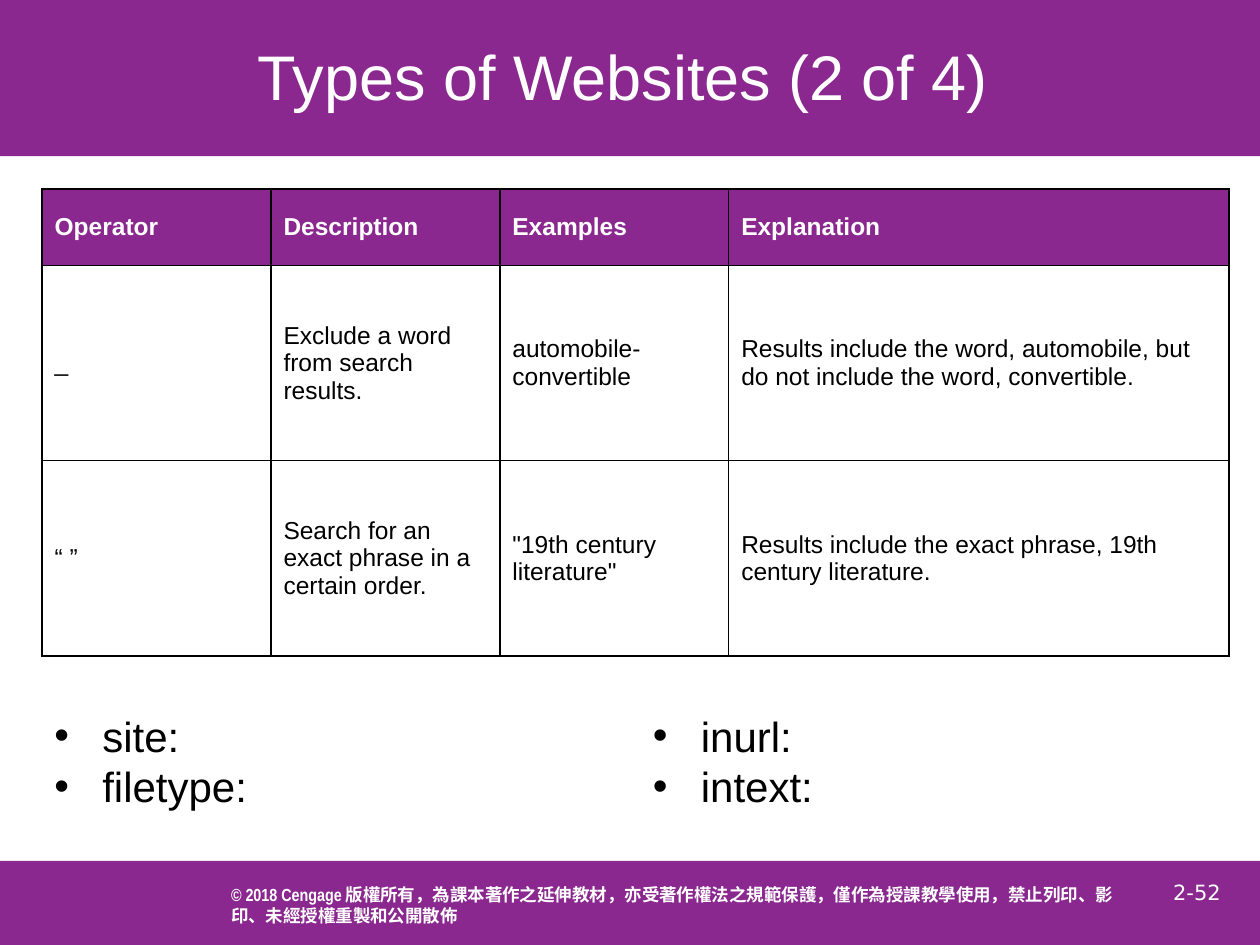
"""Build the slide on search operators for types of websites."""
import pptx
import pptx.dml.color
import pptx.enum.shapes
import pptx.enum.text
import pptx.oxml.ns
import pptx.util
from lxml import etree

Pt = pptx.util.Pt
RGBColor = pptx.dml.color.RGBColor
Align = pptx.enum.text.PP_ALIGN
Anchor = pptx.enum.text.MSO_ANCHOR
qn = pptx.oxml.ns.qn

PURPLE = RGBColor(0x8A, 0x28, 0x8F)
WHITE = RGBColor(0xFF, 0xFF, 0xFF)
BLACK = RGBColor(0, 0, 0)

TITLE = "Types of Websites (2 of 4)"
COPYRIGHT = [
    ("© 2018 Cengage ", "Arial Narrow"),
    ("版權所有，為課本著作之延伸教材，亦受著作權法之規範保護，僅作為授課教學使用，"
     "禁止列印、影印、未經授權重製和公開散佈", "Calibri"),
]
PAGE_NUMBER = "2-52"
OPERATORS = [
    ("Operator", "Description", "Examples", "Explanation"),
    ("_", "Exclude a word from search results.", "automobile-convertible",
     "Results include the word, automobile, but do not include the word, convertible."),
    ("“ ”", "Search for an exact phrase in a certain order.",
     "\"19th century literature\"",
     "Results include the exact phrase, 19th century literature."),
]
COLUMN_WIDTHS = (130.8, 130.8, 130.8, 286)
ROW_HEIGHTS = (43.8, 111.5, 111.5)
KEYWORD_LISTS = [
    ((24, 402, 125, 65.5), ("site:", "filetype:")),
    ((366, 402, 107, 65.5), ("inurl:", "intext:")),
]


def write(para, text, font="Arial", size=14, color=BLACK, bold=False, align=Align.LEFT):
    para.alignment = align
    span = para.add_run()
    span.text = text
    span.font.name = font
    span.font.size = Pt(size)
    span.font.color.rgb = color
    span.font.bold = bold


def add_band(page, left, top, width, height):
    band = page.shapes.add_shape(
        pptx.enum.shapes.MSO_SHAPE.RECTANGLE, Pt(left), Pt(top), Pt(width), Pt(height))
    band.shadow.inherit = False
    band.fill.solid()
    band.fill.fore_color.rgb = PURPLE
    band.line.fill.background()
    band.text_frame.vertical_anchor = Anchor.MIDDLE
    return band.text_frame


def add_text_box(page, left, top, width, height, wrap=True):
    box = page.shapes.add_textbox(Pt(left), Pt(top), Pt(width), Pt(height))
    box.text_frame.word_wrap = wrap
    return box.text_frame


def add_bullet(para, indent=27.4):
    properties = para._p.get_or_add_pPr()
    properties.set("marL", str(Pt(indent)))
    properties.set("indent", str(-Pt(indent)))
    etree.SubElement(properties, qn("a:buFont")).set("typeface", "Arial")
    etree.SubElement(properties, qn("a:buChar")).set("char", "•")


def add_borders(cell):
    properties = cell._tc.get_or_add_tcPr()
    for position, side in enumerate(("lnL", "lnR", "lnT", "lnB")):
        line = etree.Element(qn("a:" + side), w=str(Pt(1)))
        fill = etree.SubElement(line, qn("a:solidFill"))
        etree.SubElement(fill, qn("a:srgbClr")).set("val", str(BLACK))
        properties.insert(position, line)


def add_operator_table(page):
    table = page.shapes.add_table(
        len(OPERATORS), len(COLUMN_WIDTHS), Pt(24), Pt(108),
        Pt(sum(COLUMN_WIDTHS)), Pt(sum(ROW_HEIGHTS))).table
    table.horz_banding = False
    for column, width in zip(table.columns, COLUMN_WIDTHS):
        column.width = Pt(width)
    for index, (row, height) in enumerate(zip(table.rows, ROW_HEIGHTS)):
        row.height = Pt(height)
        header = index == 0
        for cell, text in zip(row.cells, OPERATORS[index]):
            cell.vertical_anchor = Anchor.MIDDLE
            if header:
                cell.fill.solid()
                cell.fill.fore_color.rgb = PURPLE
            else:
                cell.fill.background()
            add_borders(cell)
            write(cell.text_frame.paragraphs[0], text,
                  color=WHITE if header else BLACK, bold=header)


def main():
    deck = pptx.Presentation()
    deck.slide_width, deck.slide_height = Pt(720), Pt(540)
    page = deck.slides.add_slide(deck.slide_layouts[6])

    add_band(page, 0, 0, 720, 89.3)
    add_band(page, -0.5, 492, 721, 49.5)

    notice = add_band(page, 132, 496, 507.6, 41.8)
    notice.word_wrap = True
    notice.margin_left = notice.margin_right = notice.margin_top = notice.margin_bottom = 0
    for text, font in COPYRIGHT:
        write(notice.paragraphs[0], text, font=font, size=10, color=WHITE, bold=True)

    number = add_text_box(page, 648, 492, 72, 36)
    number.vertical_anchor = Anchor.MIDDLE
    write(number.paragraphs[0], PAGE_NUMBER, font="DejaVu Sans", size=12,
          color=WHITE, align=Align.CENTER)

    title = add_text_box(page, 3.6, 2.2, 705, 82)
    title.vertical_anchor = Anchor.MIDDLE
    write(title.paragraphs[0], TITLE, size=36, color=WHITE, align=Align.CENTER)

    add_operator_table(page)

    for place, keywords in KEYWORD_LISTS:
        frame = add_text_box(page, *place, wrap=False)
        for index, keyword in enumerate(keywords):
            para = frame.add_paragraph() if index else frame.paragraphs[0]
            add_bullet(para)
            para.line_spacing = Pt(29)
            write(para, keyword, size=24)

    deck.save("out.pptx")


if __name__ == "__main__":
    main()
